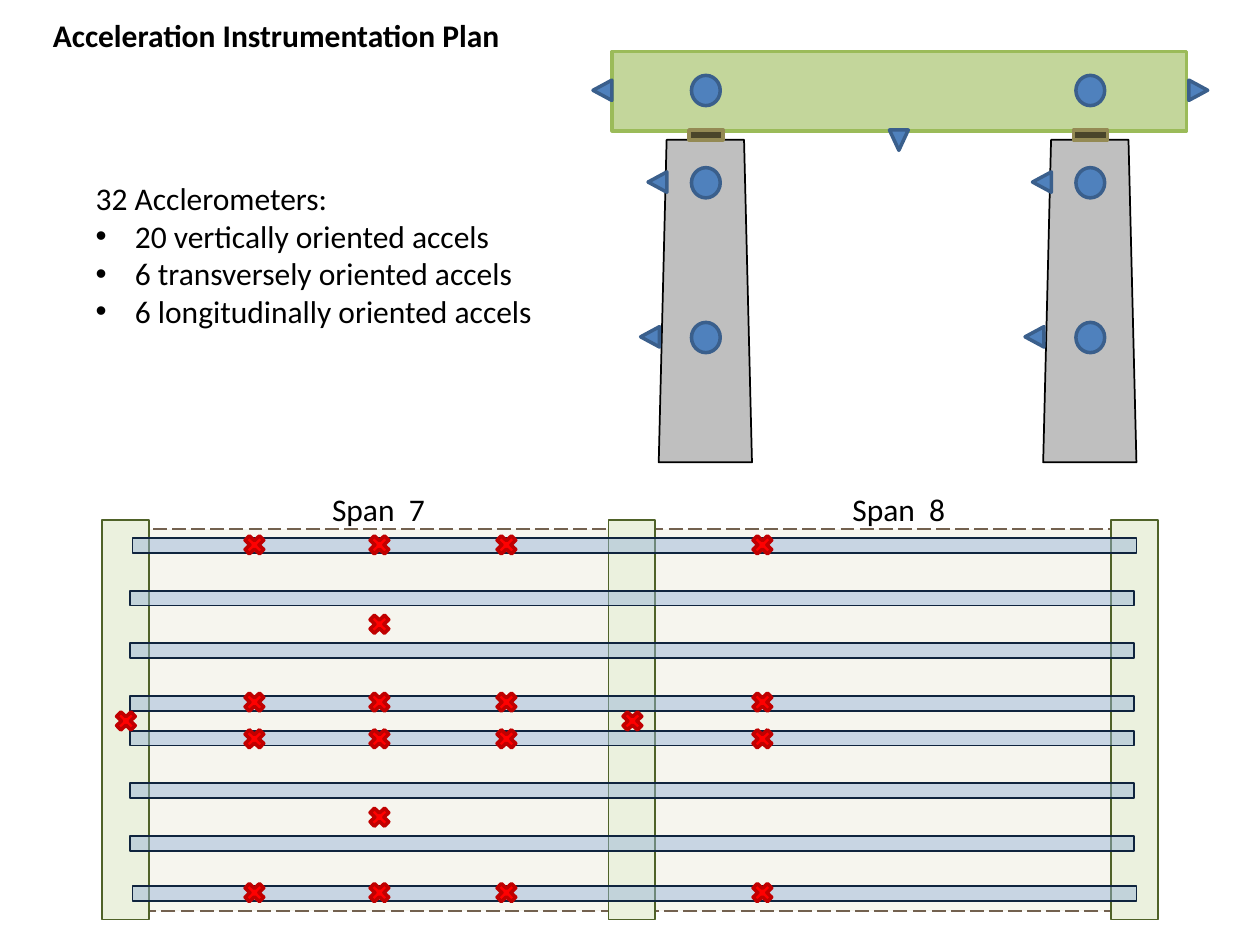
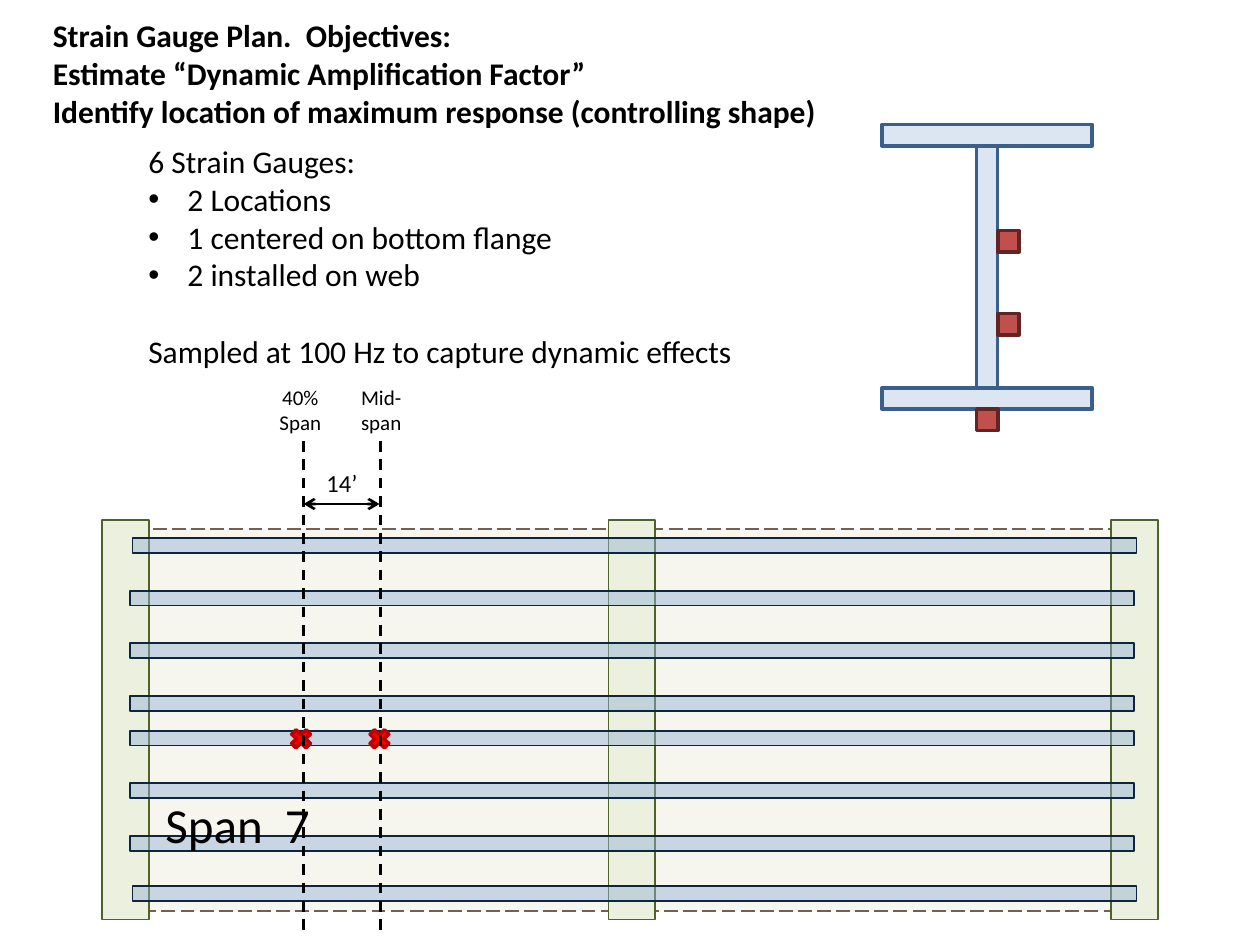
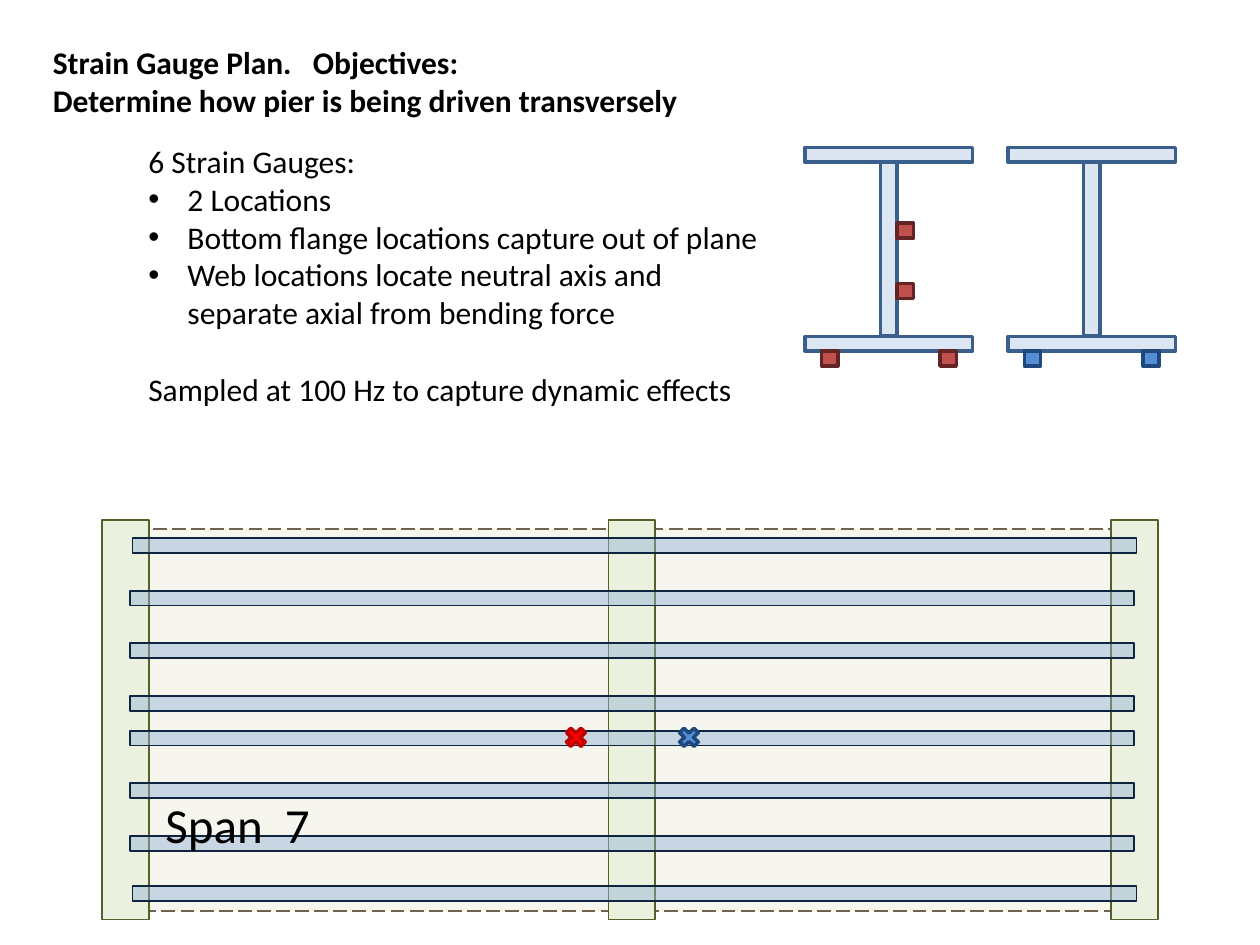
"""Builds three slides on the accelerometer and strain gauge plans of a bridge."""
from itertools import product

from lxml import etree
from pptx import Presentation, util as u
from pptx.dml.color import RGBColor
from pptx.enum import dml, shapes, text
from pptx.oxml.ns import qn


class Theme:
    font, ink = "Calibri", "000000"
    body, head, span, note, size = 18, 18, 28, 12, 14
    slab = ("F6F5EE", "73614F", 1)
    pier = ("EBF1DE", "4F6228", 1)
    girder = ("95B3D7", "0F243E", 1)
    cap = ("C3D69B", "9BBB59", 2)
    column = ("BFBFBF", "000000", 1)
    pad = ("4A452A", "948A54", 2)
    sensor = ("4F81BD", "3A5F8C", 2)
    steel = ("DCE6F2", "3A5F8C", 2)
    cross = ("FF0000", "C00000", 2)
    red = ("C0504D", "632523", 2)
    blue = ("558ED5", "1F497D", 2)


kind = shapes.MSO_SHAPE
left, mid = text.PP_ALIGN.LEFT, text.PP_ALIGN.CENTER


def draw(page, form, x, y, w, h, style, turn=0):
    """Add a filled and outlined shape."""
    part = page.shapes.add_shape(form, u.Cm(x), u.Cm(y), u.Cm(w), u.Cm(h))
    fill, line, width = style
    part.shadow.inherit = False
    part.fill.solid()
    part.fill.fore_color.rgb = RGBColor.from_string(fill)
    part.line.color.rgb = RGBColor.from_string(line)
    part.line.width = u.Pt(width)
    part.rotation = turn
    return part


def write(box, place, lines, size, align=left, bold=False):
    """Place a text shape and fill it; a leading • makes a bullet, a leading ¶ a gap."""
    box.left, box.top, box.width, box.height = [u.Cm(n) for n in place]
    frame = box.text_frame
    frame.word_wrap = True
    frame.auto_size = text.MSO_AUTO_SIZE.SHAPE_TO_FIT_TEXT
    frame.vertical_anchor = text.MSO_ANCHOR.TOP
    for i, line in enumerate(lines):
        para = frame.add_paragraph() if i else frame.paragraphs[0]
        para.alignment = align
        if line[0] == "•":
            props = para._p.get_or_add_pPr()
            props.set("marL", str(u.Cm(0.79)))
            props.set("indent", str(-u.Cm(0.79)))
            etree.SubElement(props, qn("a:buFont"), typeface="Arial")
            etree.SubElement(props, qn("a:buChar"), char="•")
        if line[0] == "¶":
            para.space_before = u.Pt(22)
        run = para.add_run()
        run.text = line.lstrip("•¶")
        run.font.name, run.font.size, run.font.bold = Theme.font, u.Pt(size), bold
        run.font.color.rgb = RGBColor.from_string(Theme.ink)


deck = Presentation()
deck.slide_width, deck.slide_height = u.Cm(25.4), u.Cm(19.05)

heads = [
    (0.2, 1.02, ["Acceleration Instrumentation Plan"]),
    (0.2, 2.57, ["Strain Gauge Plan.  Objectives:",
                 "Estimate “Dynamic Amplification Factor”",
                 "Identify location of maximum response (controlling shape)"]),
    (0.74, 1.8, ["Strain Gauge Plan.   Objectives:",
                 "Determine how pier is being driven transversely"]),
]
rows = [(2.67, 10.85), (2.67, 17.86)]
rows += [(2.62, top + 1.06 * i) for top in (11.91, 14.73) for i in range(3)]

pages = []
for top, tall, lines in heads:
    page = deck.slides.add_slide(deck.slide_layouts[5])
    pages.append(page)
    write(page.shapes.title, (0.81, top, 16.33, tall), lines, Theme.head, bold=True)
    slab = draw(page, kind.RECTANGLE, 2.54, 10.67, 20.47, 7.7, Theme.slab)
    slab.line.dash_style = dml.MSO_LINE.LONG_DASH
    for x in (2.06, 12.27, 22.4):
        draw(page, kind.RECTANGLE, x, 10.49, 0.94, 8.05, Theme.pier)
    for x, y in rows:
        beam = draw(page, kind.RECTANGLE, x, y, 20.24, 0.3, Theme.girder)
        tint = beam._element.spPr.find(".//" + qn("a:srgbClr"))
        etree.SubElement(tint, qn("a:alpha"), val="47000")
accel, strain, drive = pages

draw(accel, kind.RECTANGLE, 12.34, 1.04, 11.58, 1.6, Theme.cap)
for x in (13.28, 21.03):
    column = draw(accel, kind.TRAPEZOID, x, 2.82, 1.88, 6.5, Theme.column)
    column.adjustments[0] = 0.085
    draw(accel, kind.RECTANGLE, x + 0.61, 2.62, 0.69, 0.2, Theme.pad)
    for y in (1.52, 3.38, 6.5):
        draw(accel, kind.OVAL, x + 0.66, y, 0.58, 0.61, Theme.sensor)
    for shift, y in ((-0.23, 3.48), (-0.38, 6.6)):
        draw(accel, kind.ISOSCELES_TRIANGLE, x + shift, y, 0.41, 0.38, Theme.sensor, 270)
for x, y, w, h, turn in ((11.94, 1.63, 0.41, 0.38, 270), (23.95, 1.63, 0.41, 0.38, 90),
                         (17.93, 2.62, 0.38, 0.41, 180)):
    draw(accel, kind.ISOSCELES_TRIANGLE, x, y, w, h, Theme.sensor, turn)

spots = list(product((4.85, 7.37, 9.93, 15.09), (10.72, 13.89, 14.63, 17.73)))
spots += [(2.26, 14.27), (12.47, 14.27), (7.37, 12.32), (7.37, 16.21)]
marks = [(accel, x, y, Theme.cross) for x, y in spots]
marks += [(strain, 7.37, 14.63, Theme.cross), (strain, 5.79, 14.63, Theme.cross),
          (drive, 13.61, 14.6, Theme.blue), (drive, 11.33, 14.6, Theme.cross)]
for page, x, y, style in marks:
    draw(page, kind.MATH_MULTIPLY, x, y, 0.56, 0.53, style)

beams = [
    (strain, 17.78, 2.51, 4.24, 0.43, 0.43, 4.88, Theme.red, (1.91,), (2.14, 3.81)),
    (drive, 16.23, 2.97, 3.38, 0.3, 0.33, 3.51, Theme.red, (0.33, 2.39), (1.53, 2.75)),
    (drive, 20.32, 2.97, 3.38, 0.3, 0.33, 3.51, Theme.blue, (0.33, 2.72), ()),
]
beams[1] = beams[1][:8] + (beams[2][8], beams[1][9])
for page, x, y, wide, thick, web, tall, style, below, beside in beams:
    foot, stem = y + thick + tall, x + (wide - web) / 2
    for top in (y, foot):
        draw(page, kind.RECTANGLE, x, top, wide, thick, Theme.steel)
    draw(page, kind.RECTANGLE, stem, y + thick, web, tall, Theme.steel)
    gauges = [(x + d, foot + thick) for d in below] + [(stem + web, y + d) for d in beside]
    for across, down in gauges:
        draw(page, kind.RECTANGLE, across, down, web, thick, style)

for x, y, end, low, dash in ((7.67, 8.89, 7.67, 18.85, True), (6.12, 8.89, 6.12, 18.85, True),
                             (6.12, 10.16, 7.65, 10.16, False)):
    line = strain.shapes.add_connector(shapes.MSO_CONNECTOR.STRAIGHT,
                                       u.Cm(x), u.Cm(y), u.Cm(end), u.Cm(low))
    line.line.color.rgb = RGBColor.from_string(Theme.ink)
    line.line.width = u.Pt(1.5)
    if dash:
        line.line.dash_style = dml.MSO_LINE.DASH
    else:
        for tip in ("a:headEnd", "a:tailEnd"):
            etree.SubElement(line.line._get_or_add_ln(), qn(tip), type="arrow")
    etree.SubElement(line._element.spPr, qn("a:effectLst"))

rate = "¶Sampled at 100 Hz to capture dynamic effects"
notes = [
    (accel, (1.68, 3.48, 9.8, 4.11), Theme.body, left,
     ["32 Acclerometers:", "•20 vertically oriented accels",
      "•6 transversely oriented accels", "•6 longitudinally oriented accels"]),
    (strain, (2.74, 2.74, 12.93, 4.88), Theme.body, left,
     ["6 Strain Gauges:", "•2 Locations", "•1 centered on bottom flange",
      "•2 installed on web", rate]),
    (drive, (2.74, 2.74, 12.93, 5.64), Theme.body, left,
     ["6 Strain Gauges:", "•2 Locations", "•Bottom flange locations capture out of plane",
      "•Web locations locate neutral axis and separate axial from bending force", rate]),
    (accel, (5.84, 9.75, 3.58, 1.02), Theme.body, mid, ["Span  7"]),
    (accel, (16.33, 9.75, 3.58, 1.02), Theme.body, mid, ["Span  8"]),
    (strain, (5.13, 7.62, 1.85, 1.27), Theme.note, mid, ["40% Span"]),
    (strain, (6.76, 7.62, 1.85, 1.27), Theme.note, mid, ["Mid-span"]),
    (strain, (6.12, 9.32, 1.55, 0.86), Theme.size, mid, ["14’"]),
]
notes += [(page, (3, 15.9, 3.58, 1.45), Theme.span, mid, ["Span  7"]) for page in (strain, drive)]
for page, place, size, align, lines in notes:
    write(page.shapes.add_textbox(0, 0, 0, 0), place, lines, size, align)

deck.save("out.pptx")
